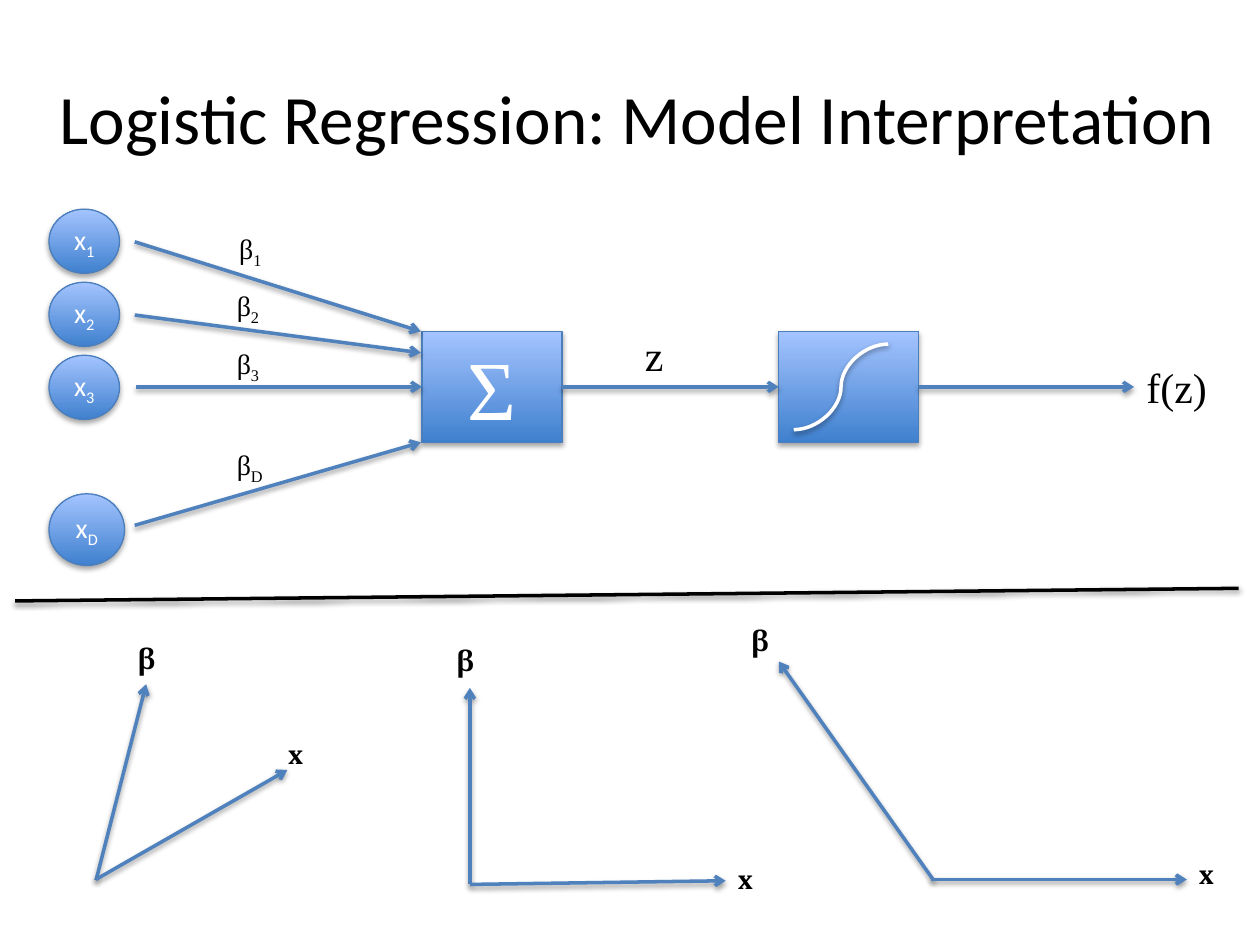
import pptx
import pptx.util
import pptx.dml.color
import pptx.enum.shapes
import pptx.enum.text
import pptx.oxml
import pptx.oxml.ns
from lxml import etree

Pt = pptx.util.Pt
color = pptx.dml.color.RGBColor.from_string
SHAPE = pptx.enum.shapes.MSO_SHAPE
CONNECTOR = pptx.enum.shapes.MSO_CONNECTOR
CENTER = pptx.enum.text.PP_ALIGN.CENTER
MIDDLE = pptx.enum.text.MSO_ANCHOR.MIDDLE
BLUE, BLACK, WHITE = "4F81BD", "000000", "FFFFFF"
SERIF = "Times New Roman"


def write(frame, text, subscript, size, font, hex_color, bold=False):
    """Add the text and its subscript as runs of the first paragraph."""
    for part, baseline in ((text, None), (subscript, "-25000")):
        if not part:
            continue
        run = frame.paragraphs[0].add_run()
        run.text = part
        run.font.size = Pt(size)
        run.font.name = font
        run.font.bold = bold
        run.font.color.rgb = color(hex_color)
        if baseline:
            run.font._element.set("baseline", baseline)


def cast_shadow(item, distance, opacity):
    """Give a shape or connector a soft shadow straight below it."""
    properties = item._element.spPr
    for old in properties.findall(pptx.oxml.ns.qn("a:effectLst")):
        properties.remove(old)
    properties.append(pptx.oxml.parse_xml(
        f'<a:effectLst {pptx.oxml.ns.nsdecls("a")}>'
        f'<a:outerShdw blurRad="{Pt(3.1)}" dist="{Pt(distance)}" dir="5400000" rotWithShape="0">'
        f'<a:srgbClr val="000000"><a:alpha val="{opacity * 1000}"/></a:srgbClr>'
        '</a:outerShdw></a:effectLst>'))


deck = pptx.Presentation()
deck.slide_width, deck.slide_height = Pt(720), Pt(540)
slide = deck.slides.add_slide(deck.slide_layouts[5])

title = slide.shapes.title
title.left, title.top, title.width, title.height = Pt(8.6), Pt(21.6), Pt(711.4), Pt(90)
title.text_frame.vertical_anchor = MIDDLE
title.text_frame.paragraphs[0].alignment = CENTER
write(title.text_frame, "Logistic Regression: Model Interpretation", "", 39.6, "Calibri", BLACK)

# Inputs, summation and activation: preset, place, text, subscript, size, font
nodes = [(SHAPE.OVAL, 28, 119.5 + 41.75 * i, 40.3, 36.7, "x", str(i + 1), 16, "Calibri")
         for i in range(3)]
nodes += [
    (SHAPE.OVAL, 28, 282.2, 43.2, 41, "x", "D", 16, "Calibri"),
    (SHAPE.RECTANGLE, 241.2, 189.4, 80, 63.4, "Σ", "", 48, SERIF),
    (SHAPE.RECTANGLE, 445, 189.4, 80, 63.4, "", "", 48, SERIF),
]
for preset, left, top, width, height, text, subscript, size, font in nodes:
    node = slide.shapes.add_shape(preset, Pt(left), Pt(top), Pt(width), Pt(height))
    node.fill.gradient()
    node.fill.gradient_angle = 90
    for stop, shade in zip(node.fill.gradient_stops, ("3F80CE", "A4C4FF")):
        stop.color.rgb = color(shade)
    node.line.color.rgb = color("4B7EBC")
    node.line.width = Pt(0.75)
    node.shadow.inherit = False
    cast_shadow(node, 1.8, 35)
    frame = node.text_frame
    frame.word_wrap = False
    frame.margin_left = frame.margin_right = 0
    frame.vertical_anchor = MIDDLE
    frame.paragraphs[0].alignment = CENTER
    write(frame, text, subscript, size, font, WHITE)

# Start x, y and end x, y
arrows = [
    # Weighted inputs
    (77, 138.2, 240.5, 189.4),
    (77, 180, 240.5, 201.6),
    (77.8, 221.1, 241.2, 221.1),
    (77, 300.2, 240.5, 252.8),
    # Sum to activation to output
    (321.2, 221.1, 445, 221.1),
    (525, 221.1, 648, 221.1),
    # Acute, right and obtuse angle between β and x
    (54.9, 503, 83.5, 391),
    (54.9, 502.5, 164.2, 440),
    (268.5, 505.4, 268.5, 393.1),
    (268.5, 505.4, 414.7, 503.3),
    (533.5, 503, 445, 378),
    (532, 502.6, 678.2, 502.6),
]
lines = [(CONNECTOR.STRAIGHT, *arrow, BLUE, True) for arrow in arrows]
lines += [
    (CONNECTOR.CURVE, 507.6, 196.6, 453.6, 245.5, WHITE, False),  # sigmoid
    (CONNECTOR.STRAIGHT, 8.6, 343.4, 707.8, 336.2, BLACK, False),  # divider
]
for kind, x1, y1, x2, y2, hex_color, has_head in lines:
    line = slide.shapes.add_connector(kind, Pt(x1), Pt(y1), Pt(x2), Pt(y2))
    line.line.color.rgb = color(hex_color)
    line.line.width = Pt(2)
    if has_head:
        outline = line._element.spPr.find(pptx.oxml.ns.qn("a:ln"))
        etree.SubElement(outline, pptx.oxml.ns.qn("a:tailEnd"), type="arrow")
    cast_shadow(line, 1.6, 38)

# Left, top, width, text, subscript, size, font, bold
labels = [
    (129.6, 128.9, 29.5, "β", "1", 16, SERIF, False),
    (128.2, 161.3, 29.5, "β", "2", 16, SERIF, False),
    (128.2, 194.4, 29.5, "β", "3", 16, SERIF, False),
    (128.2, 252, 36.7, "β", "D", 16, SERIF, False),
    (361.4, 185, 29.5, "z", "", 24, SERIF, False),
    (648, 203, 57.6, "f(z)", "", 24, SERIF, False),
]
vector_labels = [
    ("β", 71.3, 362.9), ("x", 157.7, 417.6),
    ("β", 253.4, 364.3), ("x", 414.7, 488.9),
    ("β", 421.9, 352.8), ("x", 678.2, 486),
]
labels += [(left, top, 29.5, text, "", 16, "Cambria", True) for text, left, top in vector_labels]
for left, top, width, text, subscript, size, font, bold in labels:
    label = slide.shapes.add_textbox(Pt(left), Pt(top), Pt(width), Pt(1.5 * size + 2.6))
    label.text_frame.word_wrap = True
    write(label.text_frame, text, subscript, size, font, BLACK, bold)

deck.save("out.pptx")
